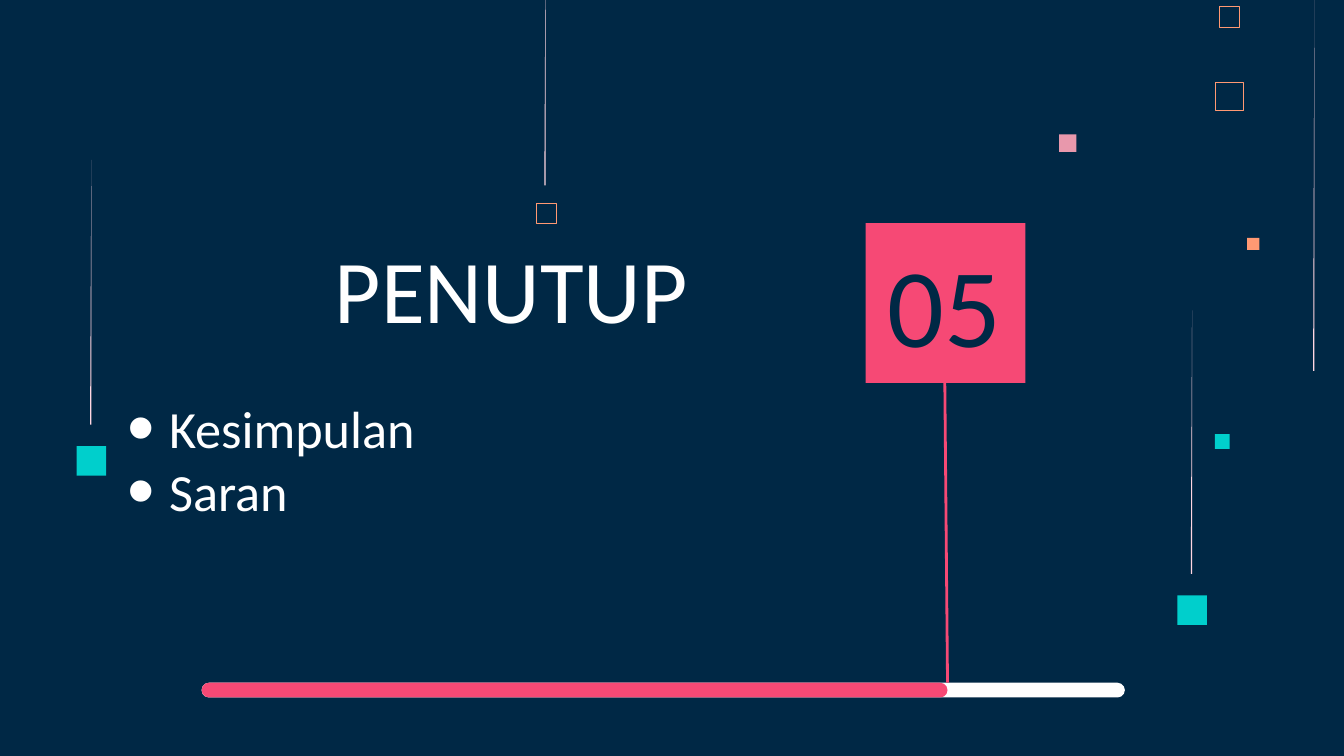
from lxml import etree
from pptx import Presentation
from pptx.dml.color import RGBColor
from pptx.enum.shapes import MSO_CONNECTOR, MSO_SHAPE
from pptx.enum.text import MSO_ANCHOR, MSO_AUTO_SIZE, PP_ALIGN
from pptx.oxml.ns import qn
from pptx.util import Inches, Pt

RECT = MSO_SHAPE.RECTANGLE
ROUND = MSO_SHAPE.ROUNDED_RECTANGLE
LINE = MSO_CONNECTOR.STRAIGHT
TOP, MIDDLE, BOTTOM = MSO_ANCHOR.TOP, MSO_ANCHOR.MIDDLE, MSO_ANCHOR.BOTTOM
CENTER, LEFT = PP_ALIGN.CENTER, PP_ALIGN.LEFT
FIXED = MSO_AUTO_SIZE.NONE

HEX = {"navy": "002845", "white": "FFFFFF", "red": "F64975", "teal": "00CFCC",
       "orange": "FF9973", "rose": "E898AC", "blush": "FFD6E1"}
COLOR = {name: RGBColor.from_string(code) for name, code in HEX.items()}

# Widescreen slide, 16 to 9
deck = Presentation()
deck.slide_width = Inches(10)
deck.slide_height = Inches(10 * 9 / 16)
slide = deck.slides.add_slide(deck.slide_layouts[5])
slide.background.fill.solid()
slide.background.fill.fore_color.rgb = COLOR["navy"]
shapes = slide.shapes


def add_block(kind, x, y, w, h, fill=None, edge=None, width=0):
    block = shapes.add_shape(kind, Inches(x), Inches(y), Inches(w), Inches(h))
    block.shadow.inherit = False
    if fill:
        block.fill.solid()
        block.fill.fore_color.rgb = COLOR[fill]
    else:
        block.fill.background()
    if edge:
        block.line.color.rgb = COLOR[edge]
        block.line.width = Pt(width)
    else:
        block.line.fill.background()
    return block


def set_text(box, place, lines, size, color, anchor, align, bullet=False):
    box.left, box.top, box.width, box.height = [Inches(v) for v in place]
    frame = box.text_frame
    frame.word_wrap = True
    frame.auto_size = FIXED
    frame.vertical_anchor = anchor
    frame.margin_left = frame.margin_right = Inches(0.1)
    frame.margin_top = frame.margin_bottom = Inches(0.1)
    for i, line in enumerate(lines):
        para = frame.add_paragraph() if i else frame.paragraphs[0]
        para.alignment = align
        if bullet:
            props = para._p.get_or_add_pPr()
            props.set("marL", str(Inches(0.31)))
            props.set("indent", str(-Inches(0.31)))
            tint = etree.SubElement(props, qn("a:buClr"))
            etree.SubElement(tint, qn("a:srgbClr"), val=HEX[color])
            etree.SubElement(props, qn("a:buSzPct"), val="150000")
            etree.SubElement(props, qn("a:buFont"), typeface="Arial")
            etree.SubElement(props, qn("a:buChar"), char="•")
        run = para.add_run()
        run.text = line
        run.font.name = "Calibri"
        run.font.size = Pt(size)
        run.font.color.rgb = COLOR[color]


# Filled squares
for x, y, side, color in [(7.88, 1, 0.13, "rose"), (9.04, 3.23, 0.11, "teal"),
                          (9.28, 1.77, 0.09, "orange"),
                          (8.76, 4.43, 0.22, "teal"), (0.57, 3.32, 0.22, "teal")]:
    add_block(RECT, x, y, side, side, color)

# Outlined squares
for x, y, side, width in [(9.04, 0.61, 0.21, 0.45), (9.07, 0.05, 0.15, 0.32),
                          (3.99, 1.51, 0.15, 0.32)]:
    add_block(RECT, x, y, side, side, edge="orange", width=width)

# Needles that taper towards the top; the first runs in from above the slide
for x, top, base in [(4.05, -0.48, 1.38), (9.77, 0, 2.76),
                     (8.86, 2.31, 4.27), (0.67, 1.19, 3.16)]:
    path = shapes.build_freeform(Inches(x + 0.01), Inches(top))
    path.add_line_segments([(Inches(x), Inches(base)),
                            (Inches(x + 0.01), Inches(base))], close=True)
    needle = path.convert_to_shape()
    needle.shadow.inherit = False
    needle.fill.solid()
    needle.fill.fore_color.rgb = COLOR["blush"]
    needle.line.fill.background()

# Title and topics
set_text(shapes.title, (1.5, 1.72, 4.61, 0.92), ["PENUTUP"], 48, "white",
         BOTTOM, CENTER)
topics = shapes.add_textbox(0, 0, 0, 0)
set_text(topics, (0.85, 2.85, 5.53, 1.94), ["Kesimpulan", "Saran"], 28, "white",
         TOP, LEFT, bullet=True)

# Section number
add_block(RECT, 6.44, 1.66, 1.19, 1.19, "red")
number = shapes.add_textbox(0, 0, 0, 0)
set_text(number, (6.49, 1.94, 1.07, 0.63), ["05"], 60, "navy", MIDDLE, CENTER)

# Progress bar
for width, color in [(6.87, "white"), (5.55, "red")]:
    bar = add_block(ROUND, 1.5, 5.08, width, 0.11, color)
    bar.adjustments[0] = 0.5

# Stem from the number to the bar
stem = shapes.add_connector(LINE, Inches(7.03), Inches(2.85),
                            Inches(7.05), Inches(5.08))
stem.line.color.rgb = COLOR["red"]
stem.line.width = Pt(1.5)
etree.SubElement(stem._element.spPr, qn("a:effectLst"))

deck.save("out.pptx")
